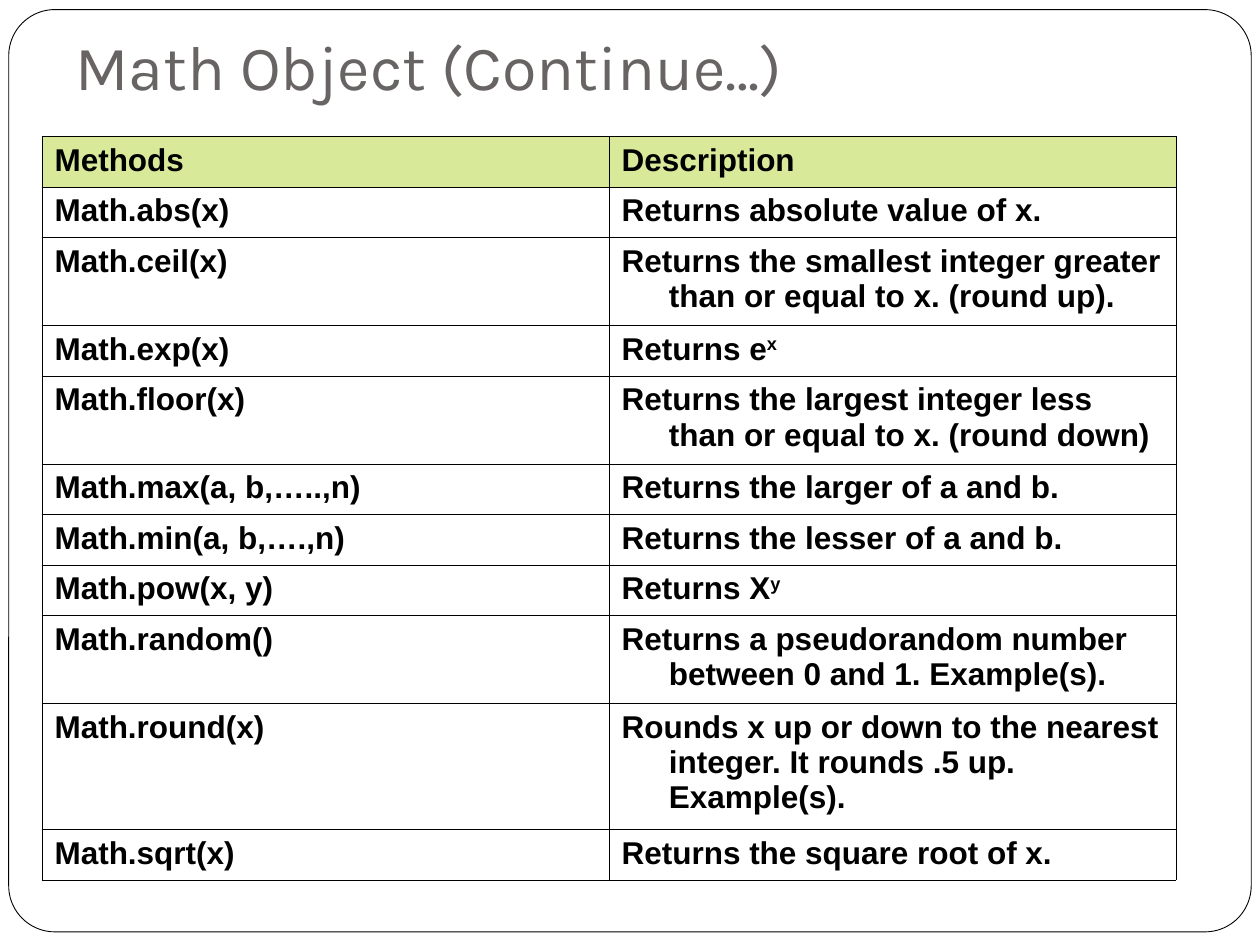
from lxml import etree
from pptx import Presentation
from pptx.dml.color import RGBColor
from pptx.enum.shapes import MSO_SHAPE
from pptx.enum.text import MSO_ANCHOR, MSO_AUTO_SIZE, PP_ALIGN
from pptx.oxml.ns import qn
from pptx.util import Pt

ROUNDED = MSO_SHAPE.ROUNDED_RECTANGLE
BOTTOM, TOP = MSO_ANCHOR.BOTTOM, MSO_ANCHOR.TOP
LEFT = PP_ALIGN.LEFT
NO_AUTOFIT = MSO_AUTO_SIZE.NONE

BLACK, WHITE, GREY, GREEN = "000000", "FFFFFF", "696464", "D8EA99"
COLUMN_WIDTH = 324
LINE_HEIGHT, ROW_PADDING = 21.6, 7.2
HANGING_INDENT = 27

# Method, description, exponent, lines of text in the row
METHODS = [
    ("Methods", "Description", "", 1),
    ("Math.abs(x)", "Returns absolute value of x.", "", 1),
    ("Math.ceil(x)", "Returns the smallest integer greater than or equal to x. (round up).", "", 2),
    ("Math.exp(x)", "Returns e", "x", 1),
    ("Math.floor(x)", "Returns the largest integer less than or equal to x. (round down)", "", 2),
    ("Math.max(a, b,…..,n)", "Returns the larger of a and b.", "", 1),
    ("Math.min(a, b,….,n)", "Returns the lesser of a and b.", "", 1),
    ("Math.pow(x, y)", "Returns X", "y", 1),
    ("Math.random()", "Returns a pseudorandom number between 0 and 1. Example(s).", "", 2),
    ("Math.round(x)", "Rounds x up or down to the nearest integer. It rounds .5 up. Example(s).", "", 3),
    ("Math.sqrt(x)", "Returns the square root of x.", "", 1),
]


def color(hex_value):
    return RGBColor.from_string(hex_value)


def add_run(paragraph, text, font, size, hex_value, bold=False, superscript=False):
    run = paragraph.add_run()
    run.text = text
    run.font.name = font
    run.font.size = Pt(size)
    run.font.bold = bold
    run.font.color.rgb = color(hex_value)
    if superscript:
        run._r.get_or_add_rPr().set("baseline", "30000")


def add_frame(slide):
    frame = slide.shapes.add_shape(ROUNDED, Pt(5), Pt(5.5), Pt(710), Pt(527))
    frame.adjustments[0] = 0.05
    frame.shadow.inherit = False
    frame.fill.solid()
    frame.fill.fore_color.rgb = color(WHITE)
    frame.line.color.rgb = color(BLACK)
    frame.line.width = Pt(0.5)
    # Send behind the title
    slide.shapes._spTree.insert(2, frame._element)


def fill_title(slide, text):
    title = slide.shapes.title
    title.left, title.top, title.width, title.height = Pt(36), Pt(30), Pt(648), Pt(36)
    body = title.text_frame
    body.auto_size = NO_AUTOFIT
    body.word_wrap = True
    body.vertical_anchor = BOTTOM
    body.margin_bottom = Pt(7.2)
    heading = body.paragraphs[0]
    heading.alignment = LEFT
    add_run(heading, text, "Karla", 36, GREY)


def add_borders(cell):
    properties = cell._tc.get_or_add_tcPr()
    for side in ("lnL", "lnR", "lnT", "lnB"):
        border = etree.SubElement(properties, qn(f"a:{side}"), w=str(Pt(0.45)))
        solid = etree.SubElement(border, qn("a:solidFill"))
        etree.SubElement(solid, qn("a:srgbClr"), val=BLACK)


def fill_cell(cell, text, exponent, is_header):
    add_borders(cell)
    if is_header:
        cell.fill.solid()
        cell.fill.fore_color.rgb = color(GREEN)
    else:
        cell.fill.background()
    cell.vertical_anchor = TOP
    cell.margin_left = cell.margin_right = Pt(7.2)
    cell.margin_top = cell.margin_bottom = Pt(3.6)
    entry = cell.text_frame.paragraphs[0]
    indents = entry._p.get_or_add_pPr()
    indents.set("marL", str(Pt(HANGING_INDENT)))
    indents.set("indent", str(-Pt(HANGING_INDENT)))
    add_run(entry, text, "Arial", 18, BLACK, bold=True)
    if exponent:
        add_run(entry, exponent, "Arial", 18, BLACK, bold=True, superscript=True)


def add_methods_table(slide):
    heights = [ROW_PADDING + LINE_HEIGHT * lines for *_, lines in METHODS]
    table = slide.shapes.add_table(len(METHODS), 2, Pt(24), Pt(78),
                                   Pt(2 * COLUMN_WIDTH), Pt(sum(heights))).table
    table.first_row = table.horz_banding = False
    for column in table.columns:
        column.width = Pt(COLUMN_WIDTH)
    for index, (method, description, exponent, _) in enumerate(METHODS):
        table.rows[index].height = Pt(heights[index])
        is_header = index == 0
        fill_cell(table.cell(index, 0), method, "", is_header)
        fill_cell(table.cell(index, 1), description, exponent, is_header)


def main():
    presentation = Presentation()
    presentation.slide_width, presentation.slide_height = Pt(720), Pt(540)
    slide = presentation.slides.add_slide(presentation.slide_layouts[5])
    add_frame(slide)
    fill_title(slide, "Math Object (Continue…)")
    add_methods_table(slide)
    presentation.save("out.pptx")


if __name__ == "__main__":
    main()
